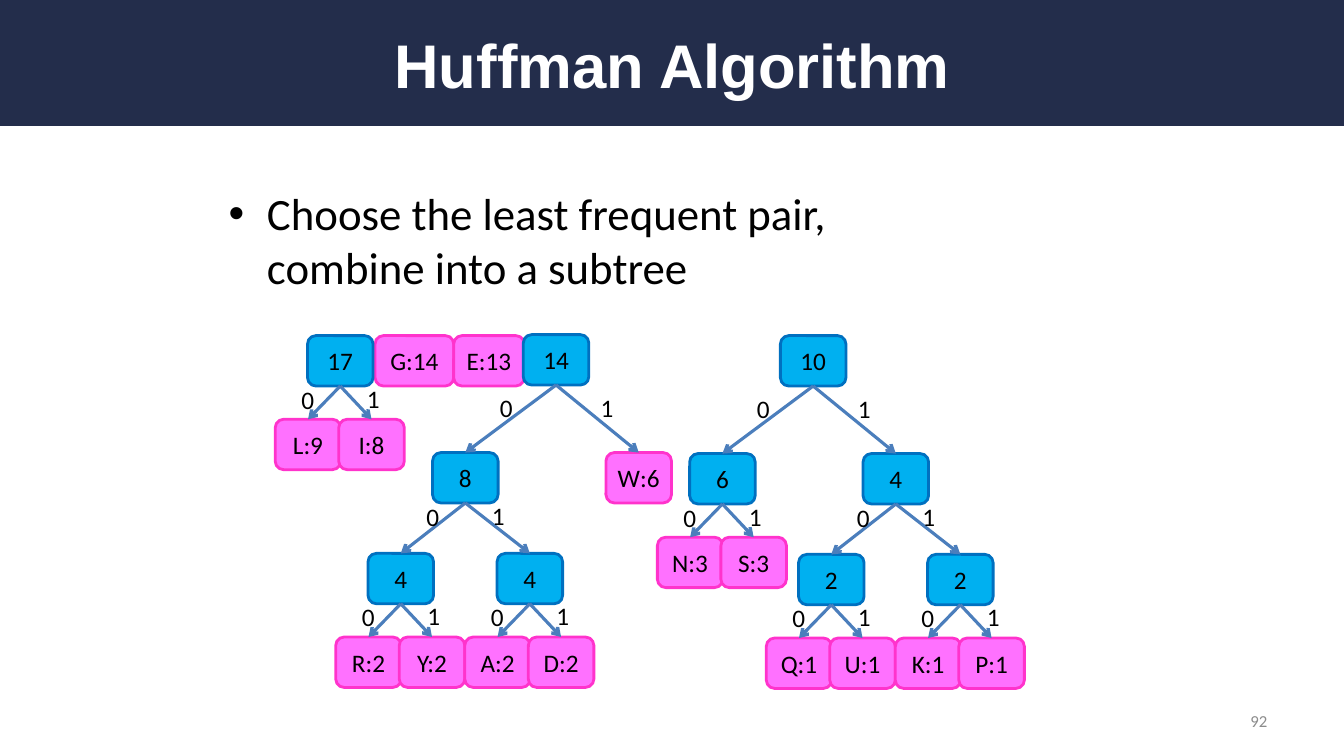
from dataclasses import dataclass

from lxml.etree import SubElement
from pptx import Presentation
from pptx.dml.color import RGBColor
from pptx.enum.shapes import MSO_CONNECTOR as Connector, MSO_SHAPE as Shape
from pptx.enum.text import MSO_ANCHOR as Anchor, MSO_AUTO_SIZE as AutoSize, PP_ALIGN as Align
from pptx.oxml.ns import qn
from pptx.util import Pt

EMU_PER_PX = 9144

NAVY = RGBColor(0x23, 0x2D, 0x4B)
WHITE = RGBColor(0xFF, 0xFF, 0xFF)
BLACK = RGBColor(0x00, 0x00, 0x00)
GRAY = RGBColor(0x8C, 0x8C, 0x8C)
PINK = RGBColor(0xFF, 0x71, 0xFF)
MAGENTA = RGBColor(0xFF, 0x33, 0xCC)
SKY = RGBColor(0x00, 0xB0, 0xF0)
BLUE = RGBColor(0x00, 0x70, 0xC0)
EDGE = RGBColor(0x4B, 0x7E, 0xBC)

NODE_WIDTH, NODE_HEIGHT = 65, 50


def px(length):
    return int(length * EMU_PER_PX)


@dataclass
class Spread:
    left: int
    right: int
    drop: int
    zero: tuple
    one: tuple


PAIR = Spread(-32, 31, 83, (-48, -7), (17, -8))
MIDDLE = Spread(-64, 64, 100, (-48, -7), (17, -8))
WIDE = Spread(-90, 82, 117, (-65, 2), (35, 2))


@dataclass
class Branch:
    label: str
    spread: Spread
    zero: object
    one: object


TREES = [
    (774, 333, Branch("10", WIDE,
                      Branch("6", PAIR, "N:3", "S:3"),
                      Branch("4", MIDDLE,
                             Branch("2", PAIR, "Q:1", "U:1"),
                             Branch("2", PAIR, "K:1", "P:1")))),
    (519, 332, Branch("14", WIDE,
                      Branch("8", MIDDLE,
                             Branch("4", PAIR, "R:2", "Y:2"),
                             Branch("4", PAIR, "A:2", "D:2")),
                      "W:6")),
    (305, 333, Branch("17", PAIR, "L:9", "I:8")),
]


class SlideBuilder:
    font_name = "Calibri"

    def __init__(self, slide):
        self.slide = slide
        self.shapes = slide.shapes

    def set_text(self, shape, text, size, color=BLACK, align=Align.LEFT, anchor=Anchor.MIDDLE,
                 name=font_name, bold=False):
        frame = shape.text_frame
        frame.text = text
        frame.auto_size = AutoSize.NONE
        frame.vertical_anchor = anchor
        paragraph = frame.paragraphs[0]
        paragraph.alignment = align
        font = paragraph.runs[0].font
        font.name, font.size, font.bold = name, Pt(size), bold
        font.color.rgb = color
        return paragraph

    def box(self, kind, left, top, width, height, fill, line=None):
        shape = self.shapes.add_shape(kind, px(left), px(top), px(width), px(height))
        shape.shadow.inherit = False
        shape.fill.solid()
        shape.fill.fore_color.rgb = fill
        if line is None:
            shape.line.fill.background()
        else:
            shape.line.color.rgb = line
            shape.line.width = Pt(2)
        return shape

    def title(self, text):
        title = self.shapes.title
        title.left, title.top, title.width, title.height = px(67), px(17), px(1200), px(92)
        self.set_text(title, text, 44, WHITE, Align.CENTER, name="Arial", bold=True)
        band = self.box(Shape.RECTANGLE, 0, 0, 1333, 125, NAVY)
        title.element.addprevious(band.element)

    def text(self, text, left, top, width, height, size, wrap=True, **style):
        shape = self.shapes.add_textbox(px(left), px(top), px(width), px(height))
        paragraph = self.set_text(shape, text, size, **style)
        shape.text_frame.word_wrap = wrap
        return paragraph

    def bullet(self, text, left, top, width, height, size):
        paragraph = self.text(text, left, top, width, height, size)
        properties = paragraph._p.get_or_add_pPr()
        properties.set("marL", str(px(38)))
        properties.set("indent", str(px(-38)))
        SubElement(properties, qn("a:buFont"), typeface="Arial")
        SubElement(properties, qn("a:buChar"), char="•")

    def node(self, label, left, top, fill, line, width=NODE_WIDTH):
        shape = self.box(Shape.ROUNDED_RECTANGLE, left, top, width, NODE_HEIGHT, fill, line)
        self.set_text(shape, label, 18, align=Align.CENTER)
        shape.text_frame.margin_left = shape.text_frame.margin_right = 0
        return shape

    def leaf(self, label, left, top, width=NODE_WIDTH):
        return self.node(label, left, top, PINK, MAGENTA, width)

    def arrow(self, parent, child):
        connector = self.shapes.add_connector(Connector.STRAIGHT, 0, 0, 0, 0)
        connector.begin_connect(parent, 2)
        connector.end_connect(child, 0)
        connector.line.color.rgb = EDGE
        connector.line.width = Pt(2.25)
        properties = connector.element.spPr
        SubElement(properties.find(qn("a:ln")), qn("a:tailEnd"), type="arrow")
        SubElement(properties, qn("a:effectLst"))

    def tree(self, branch, left, top):
        if isinstance(branch, str):
            return self.leaf(branch, left, top)
        spread = branch.spread
        children = [self.tree(child, left + shift, top + spread.drop)
                    for child, shift in ((branch.zero, spread.left), (branch.one, spread.right))]
        parent = self.node(branch.label, left, top, SKY, BLUE)
        for child in children:
            self.arrow(parent, child)
        center, bottom = left + NODE_WIDTH // 2, top + NODE_HEIGHT
        for bit, (across, down) in (("0", spread.zero), ("1", spread.one)):
            self.text(bit, center + across, bottom + down, 33, 40, 18,
                      wrap=False, anchor=Anchor.TOP)
        return parent


def main():
    presentation = Presentation()
    presentation.slide_width, presentation.slide_height = px(1333), px(750)
    slide = presentation.slides.add_slide(presentation.slide_layouts[5])
    builder = SlideBuilder(slide)
    builder.title("Huffman Algorithm")
    builder.bullet("Choose the least frequent pair, combine into a subtree", 217, 175, 740, 125, 32)
    builder.text("92", 956, 695, 311, 40, 12, color=GRAY, align=Align.RIGHT)
    builder.leaf("G:14", 372, 333, 78)
    builder.leaf("E:13", 450, 333, 70)
    for left, top, branch in TREES:
        builder.tree(branch, left, top)
    presentation.save("out.pptx")


if __name__ == "__main__":
    main()
